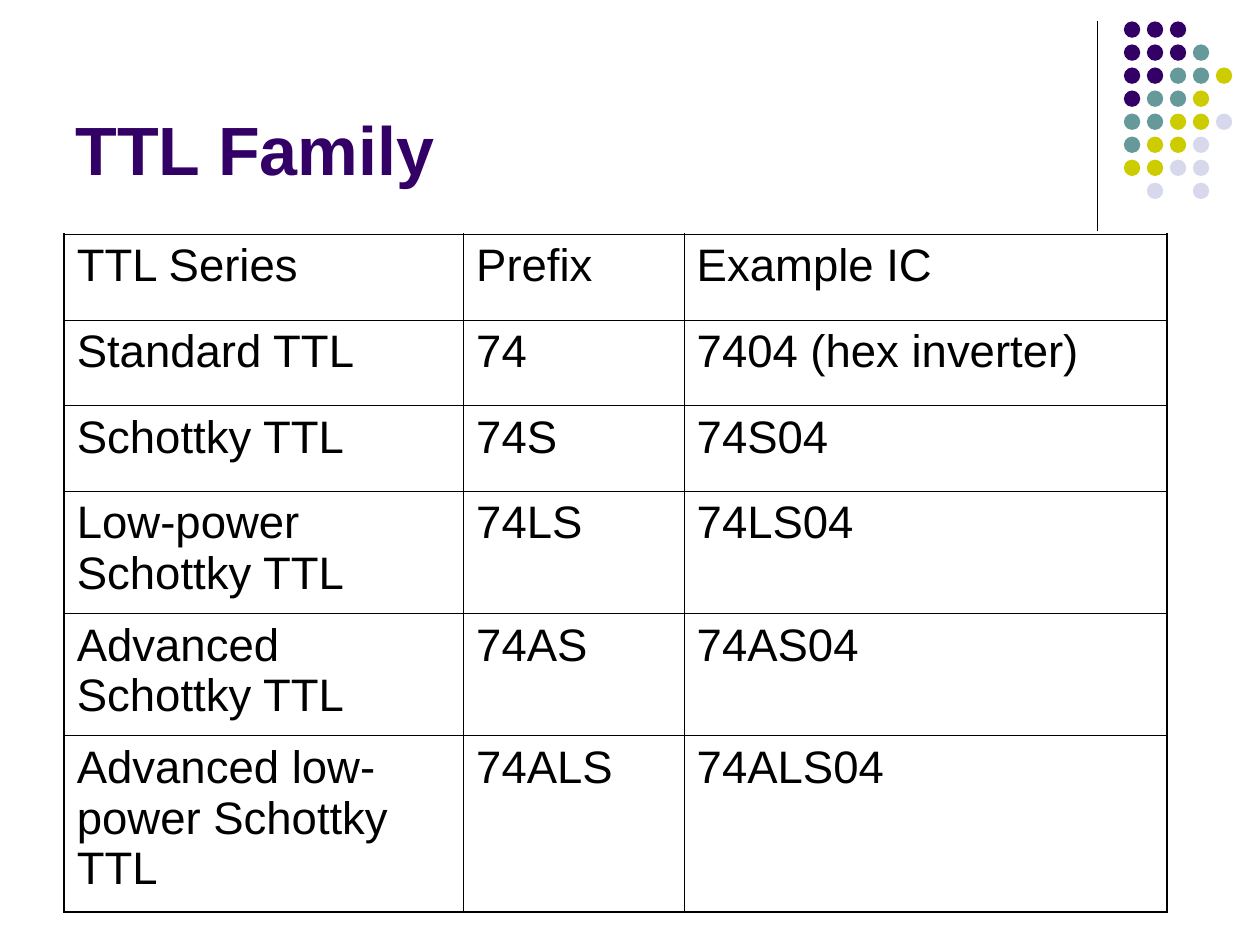
import pptx
import pptx.dml.color
import pptx.enum.shapes
import pptx.enum.text
import pptx.oxml
import pptx.oxml.ns
import pptx.util

RGBColor = pptx.dml.color.RGBColor
BLACK = RGBColor(0x00, 0x00, 0x00)
PURPLE = RGBColor(0x33, 0x00, 0x66)
TEAL = RGBColor(0x66, 0x99, 0x99)
OLIVE = RGBColor(0xCC, 0xCC, 0x00)
LAVENDER = RGBColor(0xD8, 0xD8, 0xEC)

# The slide is a grid of 100 columns by 75 rows of square units.
COLUMNS, ROWS = 100, 75
UNIT = pptx.util.Inches(0.1)

DOT_SIZE = 1.3
DOT_COLORS = {"P": PURPLE, "T": TEAL, "O": OLIVE, "L": LAVENDER}
DOT_PATTERN = ["PPP  ", "PPPT ", "PPTTO", "PTTO ",
               "TTOOL", "TOOL ", "OOLL ", " L L "]

SERIES = [
    ("TTL Series", "Prefix", "Example IC"),
    ("Standard TTL", "74", "7404 (hex inverter)"),
    ("Schottky TTL", "74S", "74S04"),
    ("Low-power Schottky TTL", "74LS", "74LS04"),
    ("Advanced Schottky TTL", "74AS", "74AS04"),
    ("Advanced low-power Schottky TTL", "74ALS", "74ALS04"),
]
COLUMN_SHARES = (31.7, 17.5, 38.3)
ROW_SHARES = (6.8, 6.8, 6.8, 9.7, 9.7, 14)
OUTER_LINE, INNER_LINE = 1.08, 0.45


def units(*counts):
    return [round(count * UNIT) for count in counts]


def write(frame, text, size, color=BLACK, bold=False, font="Arial"):
    frame.word_wrap = True
    paragraph = frame.paragraphs[0]
    paragraph.text = text
    paragraph.font.name = font
    paragraph.font.size = pptx.util.Pt(size)
    paragraph.font.bold = bold
    paragraph.font.color.rgb = color


def add_divider(slide, x, top, bottom):
    divider = slide.shapes.add_connector(
        pptx.enum.shapes.MSO_CONNECTOR.STRAIGHT, *units(x, top, x, bottom))
    divider.line.color.rgb = BLACK
    divider.line.width = pptx.util.Pt(0.75)
    properties = divider.element.spPr
    properties.append(properties.makeelement(pptx.oxml.ns.qn("a:effectLst"), {}))


def add_dots(slide, left, top, width, height):
    dots = slide.shapes.add_group_shape().shapes
    x_step = (width - DOT_SIZE) / (len(DOT_PATTERN[0]) - 1)
    y_step = (height - DOT_SIZE) / (len(DOT_PATTERN) - 1)
    for row, pattern in enumerate(DOT_PATTERN):
        for column, key in enumerate(pattern):
            if key not in DOT_COLORS:
                continue
            dot = dots.add_shape(
                pptx.enum.shapes.MSO_SHAPE.OVAL,
                *units(left + column * x_step, top + row * y_step, DOT_SIZE, DOT_SIZE))
            dot.shadow.inherit = False
            dot.fill.solid()
            dot.fill.fore_color.rgb = DOT_COLORS[key]
            dot.line.fill.background()


def add_title(slide, left, top, width, height):
    title = slide.shapes.add_textbox(*units(left, top, width, height)).text_frame
    title.vertical_anchor = pptx.enum.text.MSO_ANCHOR.BOTTOM
    write(title, "TTL Family", size=39, color=PURPLE, bold=True)


def set_borders(cell, **widths):
    """Draw the cell's sides, given in the order L, R, T, B."""
    properties = cell._tc.get_or_add_tcPr()
    for side, width in widths.items():
        properties.append(pptx.oxml.parse_xml(
            f'<a:ln{side} {pptx.oxml.ns.nsdecls("a")} w="{pptx.util.Pt(width)}">'
            f'<a:solidFill><a:srgbClr val="{BLACK}"/></a:solidFill></a:ln{side}>'))


def add_series_table(slide, left, top, width, height):
    last_row, last_column = len(SERIES) - 1, len(SERIES[0]) - 1
    table = slide.shapes.add_table(
        len(SERIES), len(SERIES[0]), *units(left, top, width, height)).table
    table.first_row = table.horz_banding = False
    for column, share in zip(table.columns, COLUMN_SHARES):
        column.width = round(width * share / sum(COLUMN_SHARES) * UNIT)
    for row, share in zip(table.rows, ROW_SHARES):
        row.height = round(height * share / sum(ROW_SHARES) * UNIT)

    def line(is_outer):
        return OUTER_LINE if is_outer else INNER_LINE

    for r, texts in enumerate(SERIES):
        for c, text in enumerate(texts):
            cell = table.cell(r, c)
            write(cell.text_frame, text, size=26)
            set_borders(cell, L=line(c == 0), R=line(c == last_column),
                        T=line(r == 0), B=line(r == last_row))
            cell.fill.background()


def main():
    presentation = pptx.Presentation()
    presentation.slide_width, presentation.slide_height = units(COLUMNS, ROWS)
    slide = presentation.slides.add_slide(presentation.slide_layouts[6])
    add_divider(slide, 87.1, 1.7, 18.3)
    add_dots(slide, 89.2, 1.7, 8.6, 14.1)
    add_title(slide, 5, 1.3, 82.5, 14.2)
    add_series_table(slide, 5.1, 18.6, 87.5, 53.8)
    presentation.save("out.pptx")


if __name__ == "__main__":
    main()
